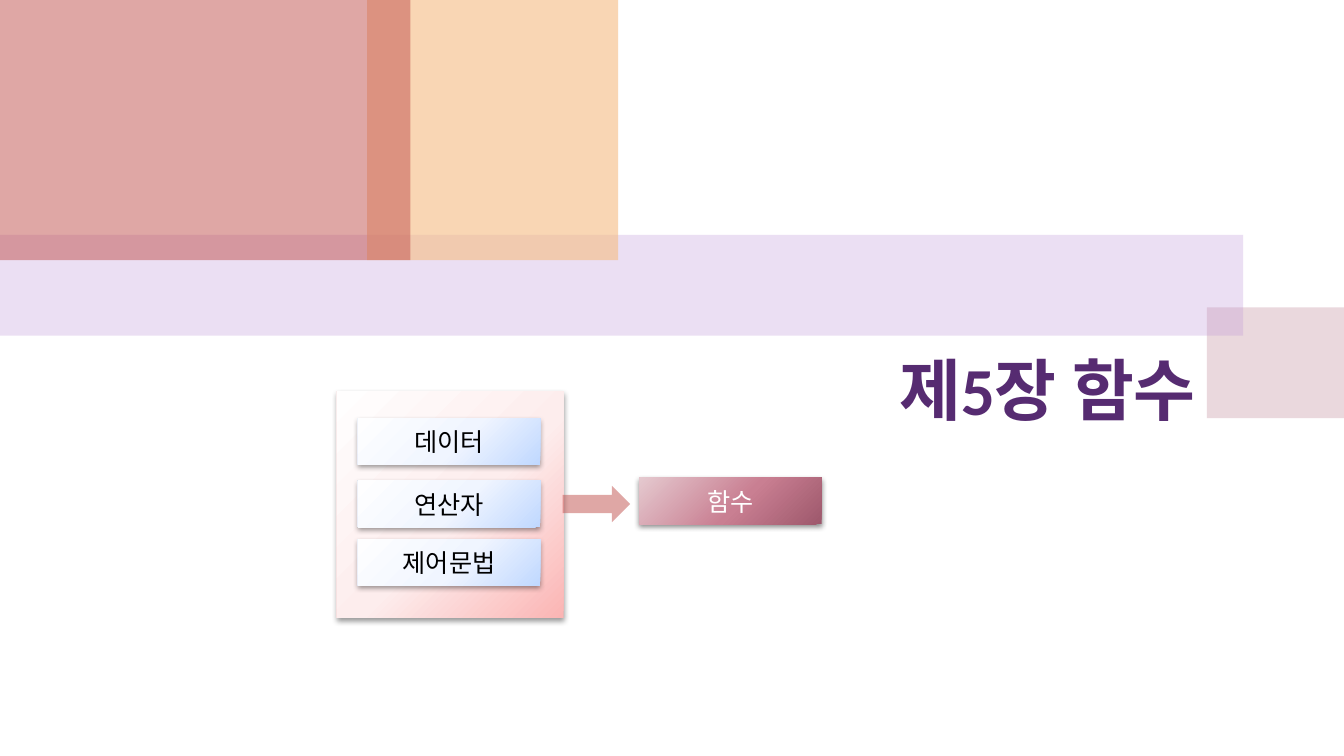
from pptx import Presentation
from pptx.dml.color import RGBColor
from pptx.enum.shapes import MSO_SHAPE
from pptx.enum.text import MSO_ANCHOR, MSO_AUTO_SIZE, PP_ALIGN
from pptx.oxml import parse_xml
from pptx.oxml.ns import nsdecls, qn
from pptx.util import Inches, Pt

WIDE, HIGH = 13.33, 7.5
TITLE = "제5장 함수"
TOPICS = [("데이터", 4.15), ("연산자", 4.77), ("제어문법", 5.35)]
RESULT = "함수"
BANDS = [
    ((11.97, 3.05, WIDE - 11.97, 1.1), "CC9EAC", 40),
    ((0, 2.33, 12.33, 1), "BF98D8", 30),
    ((3.64, 0, 2.49, 2.58), "F5BC83", 60),
    ((0, 0, 4.07, 2.58), "C0504D", 50),
]
PINK = ("FFFEFE", "FDEDED", "FBB5B4")
BLUE = ("FEFEFF", "F0F5FF", "C0D8FF")
ROSE = ("E5C9CF", "C97F92", "9E586C")
STOPS = (0, 55, 100)
CARD = (1.81, 0.46)
LEFT = 3.55

deck = Presentation()
deck.slide_width, deck.slide_height = Inches(WIDE), Inches(HIGH)
slide = deck.slides.add_slide(deck.slide_layouts[0])
shapes = slide.shapes


def tint(code, alpha=100):
    return f'<a:srgbClr val="{code}"><a:alpha val="{alpha * 1000}"/></a:srgbClr>'


def solid(code, alpha):
    return f'<a:solidFill {nsdecls("a")}>{tint(code, alpha)}</a:solidFill>'


def blend(codes):
    stops = "".join(f'<a:gs pos="{pos * 1000}">{tint(code)}</a:gs>'
                    for pos, code in zip(STOPS, codes))
    return (f'<a:gradFill {nsdecls("a")} rotWithShape="1"><a:gsLst>{stops}</a:gsLst>'
            '<a:path path="circle"><a:fillToRect l="-40000" t="-90000" '
            'r="140000" b="190000"/></a:path></a:gradFill>')


def style(frame, text, size, color, align, anchor, bold=False):
    frame.text = text
    frame.word_wrap = True
    frame.auto_size = MSO_AUTO_SIZE.NONE
    frame.vertical_anchor = anchor
    para = frame.paragraphs[0]
    para.alignment = align
    font = para.runs[0].font
    for name, value in {"name": "Calibri", "size": Pt(size), "bold": bold}.items():
        setattr(font, name, value)
    font.color.rgb = RGBColor.from_string(color)


def block(box, fill, shade=0, kind=MSO_SHAPE.RECTANGLE):
    shape = shapes.add_shape(kind, *map(Inches, box))
    shape.line.fill.background()
    shape.shadow.inherit = False
    shape.fill.background()
    props = shape.element.spPr
    props.replace(props.find(qn("a:noFill")), parse_xml(fill))
    if shade:
        props.find(qn("a:effectLst")).append(parse_xml(
            f'<a:outerShdw {nsdecls("a")} blurRad="{Pt(4)}" dist="{Pt(2)}" '
            f'dir="5400000" rotWithShape="0">{tint("000000", shade)}</a:outerShdw>'))
    return shape


def card(text, left, top, codes, color, shade):
    shape = block((left, top, *CARD), blend(codes), shade)
    style(shape.text_frame, text, 18, color, PP_ALIGN.CENTER, MSO_ANCHOR.MIDDLE)


for box, code, alpha in BANDS:
    block(box, solid(code, alpha))
panel = block((3.34, 3.88, 2.25, 2.25), blend(PINK), 40)

title, sub = slide.placeholders
sub.element.getparent().remove(sub.element)
title.left, title.top, title.width, title.height = map(Inches, (0.61, 3.41, 11.35, 1.61))
style(title.text_frame, TITLE, 48, "562B71", PP_ALIGN.RIGHT, MSO_ANCHOR.TOP, True)
panel.element.addnext(title.element)

for text, top in TOPICS:
    card(text, LEFT, top, BLUE, "000000", 40)
card(RESULT, 6.34, 4.74, ROSE, "FFFFFF", 45)
block((5.58, 4.82, 0.67, 0.36), solid("C0504D", 50), kind=MSO_SHAPE.RIGHT_ARROW)

deck.save("out.pptx")
